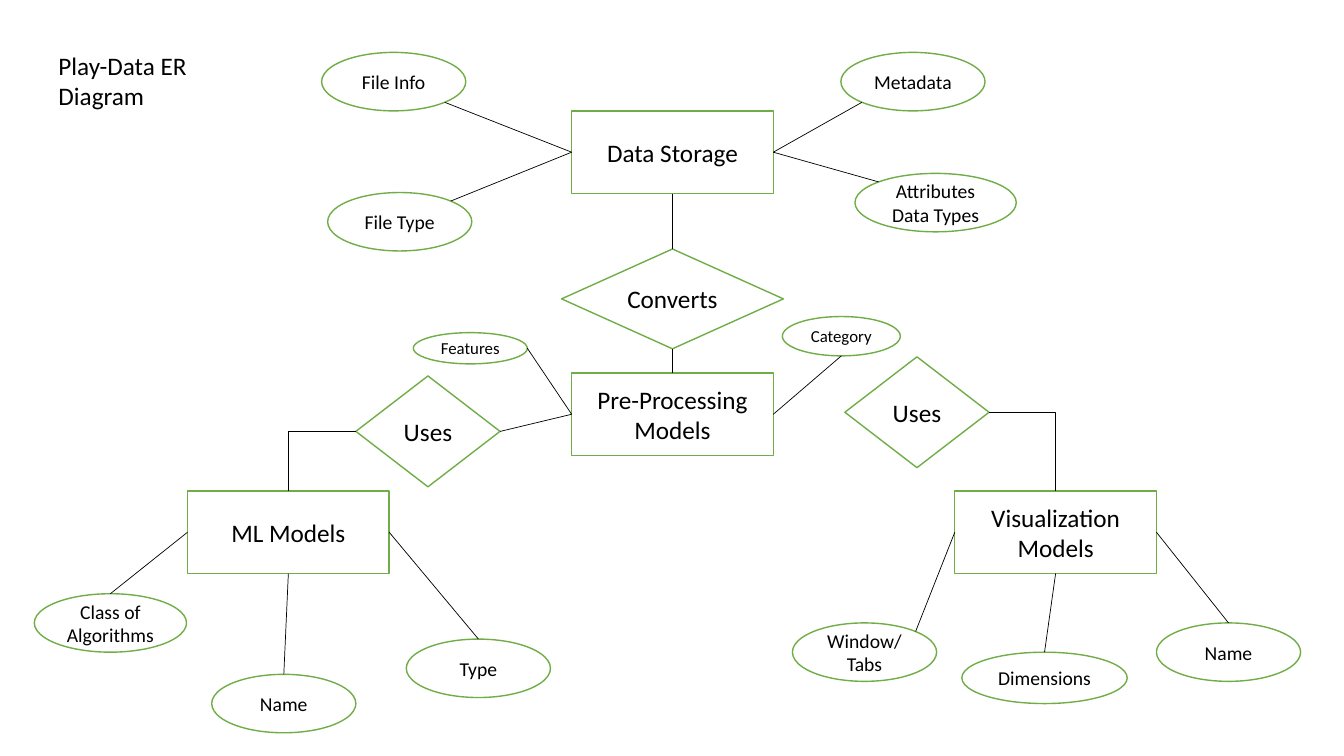
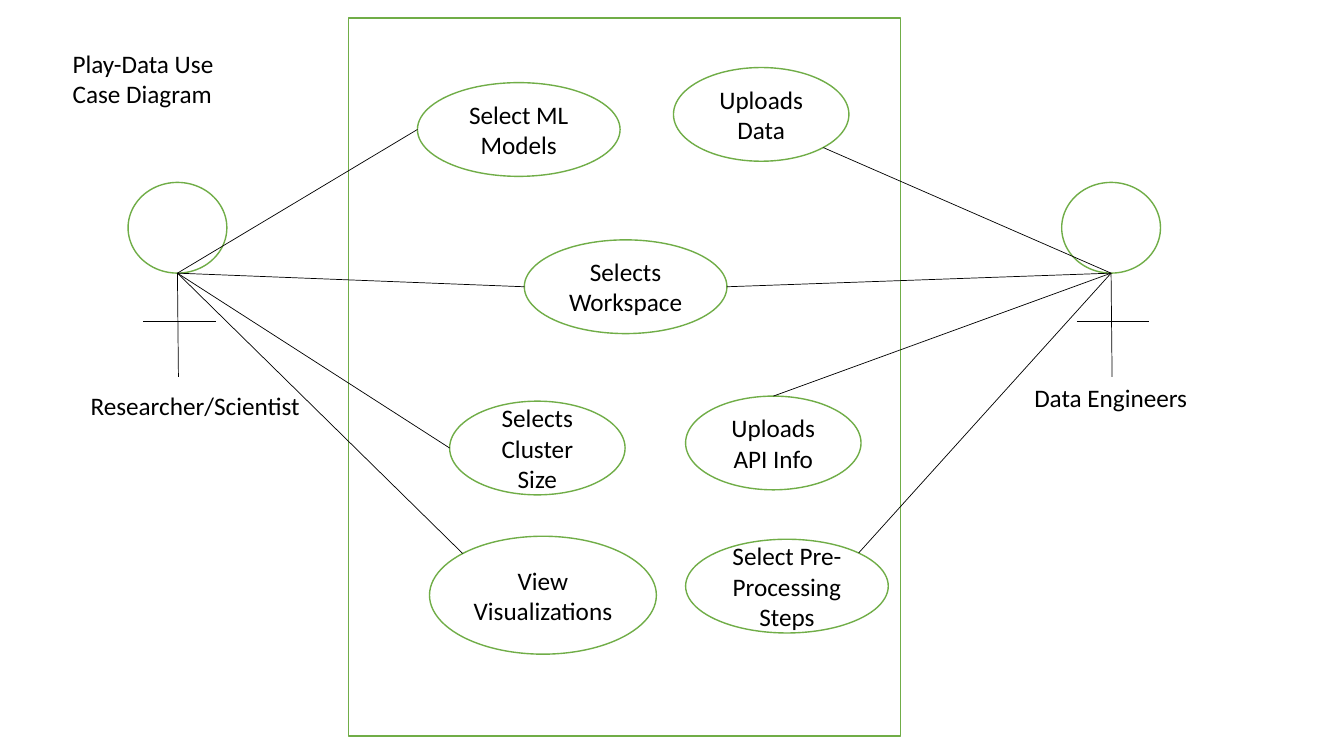
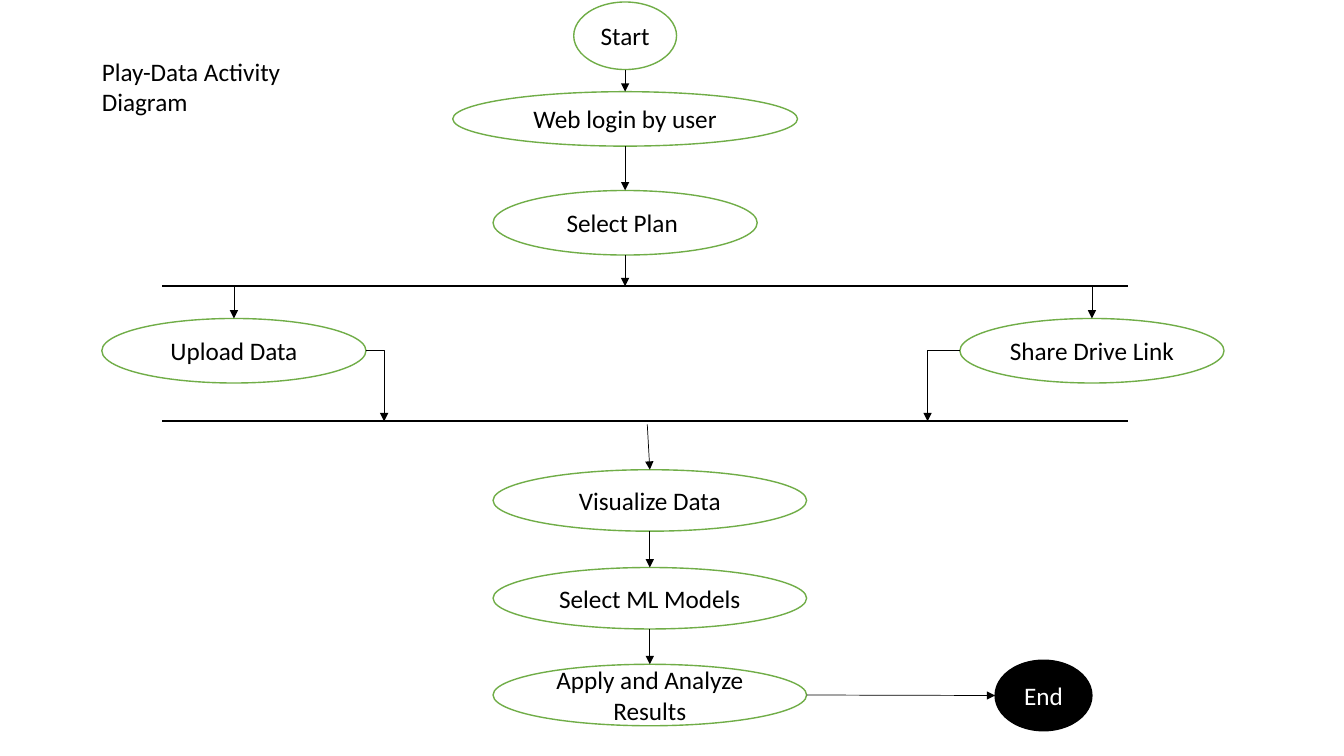
from lxml import etree
from pptx import Presentation
from pptx.dml.color import RGBColor
from pptx.enum.shapes import MSO_CONNECTOR, MSO_SHAPE
from pptx.enum.text import MSO_ANCHOR, MSO_AUTO_SIZE, PP_ALIGN
from pptx.oxml.ns import qn
from pptx.util import Pt

PX = 9144  # EMU per px, 100 px to the inch
TITLE_ONLY = 5

GREEN = RGBColor(0x70, 0xAD, 0x47)
BLACK = RGBColor(0x00, 0x00, 0x00)
WHITE = RGBColor(0xFF, 0xFF, 0xFF)

PROCESS, OVAL, DIAMOND = MSO_SHAPE.FLOWCHART_PROCESS, MSO_SHAPE.OVAL, MSO_SHAPE.DIAMOND
STRAIGHT, ELBOW = MSO_CONNECTOR.STRAIGHT, MSO_CONNECTOR.ELBOW
LEFT, CENTER = PP_ALIGN.LEFT, PP_ALIGN.CENTER

LABEL_FRAME = {"word_wrap": True, "vertical_anchor": MSO_ANCHOR.MIDDLE}
NOTE_FRAME = {"word_wrap": True, "vertical_anchor": MSO_ANCHOR.TOP,
              "auto_size": MSO_AUTO_SIZE.SHAPE_TO_FIT_TEXT}

# Anchors as fractions of a shape; the diagonal ones lie on an ellipse
NEAR, FAR = 0.146, 0.854
ANCHORS = {"t": (0.5, 0), "l": (0, 0.5), "b": (0.5, 1), "r": (1, 0.5),
           "tl": (NEAR, NEAR), "tr": (FAR, NEAR), "bl": (NEAR, FAR), "br": (FAR, FAR)}
JOIN_SITES = {"t": 0, "l": 1, "b": 2, "r": 3}


def px(*lengths):
    return [length * PX for length in lengths]


def apply(target, values):
    for name, value in values.items():
        setattr(target, name, value)


def write(shape, text, frame_format, align, size=18, color=BLACK):
    frame = shape.text_frame
    frame.text = text
    apply(frame, frame_format)
    paragraph = frame.paragraphs[0]
    paragraph.alignment = align
    apply(paragraph.runs[0].font, {"name": "Calibri", "size": Pt(size)})
    paragraph.runs[0].font.color.rgb = color


def add_node(slide, kind, box, label="", size=18, fill=WHITE, outline=GREEN, color=BLACK):
    node = slide.shapes.add_shape(kind, *px(*box))
    node.shadow.inherit = False
    node.fill.solid()
    node.fill.fore_color.rgb = fill
    node.line.color.rgb = outline
    node.line.width = Pt(1)
    if label:
        write(node, label, LABEL_FRAME, CENTER, size, color)
    return node


def locate(end):
    """Turn (x, y) in px or (node, side) into a point in EMU."""
    if not isinstance(end[1], str):
        return px(*end)
    node, side = end
    across, down = ANCHORS[side]
    return [round(node.left + across * node.width), round(node.top + down * node.height)]


def link(slide, start, finish, kind=STRAIGHT, arrow=False, weight=0.5):
    """Draw a line and join it to rectangles and diamonds."""
    line = slide.shapes.add_connector(kind, *locate(start), *locate(finish))
    for end, join in ((start, line.begin_connect), (finish, line.end_connect)):
        if end[1] in JOIN_SITES and end[0].auto_shape_type != OVAL:
            join(end[0], JOIN_SITES[end[1]])
    line.line.color.rgb = BLACK
    line.line.width = Pt(weight)
    properties = line._element.spPr
    if kind == ELBOW:  # a single bend: across, then down
        properties.find(qn("a:prstGeom")).set("prst", "bentConnector2")
    if arrow:
        etree.SubElement(properties.find(qn("a:ln")), qn("a:tailEnd"), type="triangle")
    etree.SubElement(properties, qn("a:effectLst"))


def add_titled_slide(deck, title, box):
    slide = deck.slides.add_slide(deck.slide_layouts[TITLE_ONLY])
    heading = slide.shapes.title
    apply(heading, dict(zip(("left", "top", "width", "height"), px(*box))))
    write(heading, title, NOTE_FRAME, LEFT)
    return slide


# Entity-relationship diagram
def entity_cluster(slide, box, label, attributes):
    """Entity in the box, with attributes placed from its top left corner."""
    left, top = box[:2]
    entity = add_node(slide, PROCESS, box, label)
    for name, dx, dy, width, height, size, entity_side, side in attributes:
        attribute = add_node(slide, OVAL, (left + dx, top + dy, width, height), name, size)
        link(slide, (entity, entity_side), (attribute, side))
    return entity


def er_slide(deck):
    slide = add_titled_slide(deck, "Play-Data ER Diagram", (48, 45, 226, 71))
    storage = entity_cluster(slide, (567, 110, 200, 82), "Data Storage", [
        ("File Info", -248, -58, 143, 58, 14, "l", "br"),
        ("File Type", -242, 81, 143, 58, 14, "l", "tr"),
        ("Metadata", 267, -58, 143, 58, 14, "r", "bl"),
        ("Attributes Data Types", 281, 62, 160, 58, 14, "r", "tl")])
    preprocessing = entity_cluster(slide, (567, 370, 200, 82), "Pre-Processing Models", [
        ("Features", -157, -40, 113, 31, 12, "l", "r"),
        ("Category", 209, -56, 117, 39, 12, "r", "b")])
    ml_models = entity_cluster(slide, (186, 487, 200, 82), "ML Models", [
        ("Class of Algorithms", -152, 102, 151, 58, 14, "l", "t"),
        ("Name", 24, 182, 143, 58, 14, "b", "t"),
        ("Type", 217, 147, 143, 58, 14, "r", "t")])
    visualization = entity_cluster(slide, (947, 487, 200, 82), "Visualization Models", [
        ("Window/Tabs", -161, 131, 143, 58, 14, "l", "tr"),
        ("Dimensions", 7, 160, 164, 51, 14, "b", "t"),
        ("Name", 200, 131, 143, 58, 14, "r", "t")])

    # Relationships
    converts = add_node(slide, DIAMOND, (557, 247, 220, 99), "Converts")
    ml_use = add_node(slide, DIAMOND, (353, 373, 143, 110), "Uses")
    visual_use = add_node(slide, DIAMOND, (838, 354, 143, 110), "Uses")
    link(slide, (storage, "b"), (converts, "t"))
    link(slide, (converts, "b"), (preprocessing, "t"))
    link(slide, (ml_use, "r"), (preprocessing, "l"))
    link(slide, (ml_use, "l"), (ml_models, "t"), ELBOW)
    link(slide, (visual_use, "r"), (visualization, "t"), ELBOW)


# Use case diagram
def system_boundary(slide, box, cases):
    left, top = box[:2]
    add_node(slide, PROCESS, box)
    return {label: add_node(slide, OVAL, (left + dx, top + dy, width, height), label)
            for label, dx, dy, width, height in cases}


def actor(slide, box, name, name_offset, name_width):
    """Stick figure in the box, with its name placed from the top left corner."""
    left, top, width, height = box
    head = add_node(slide, OVAL, (left, top, width, 90))
    link(slide, (head, "b"), (left + width // 2 + 1, top + height))
    link(slide, (left + 15, top + 138), (left + 87, top + 138))
    dx, dy = name_offset
    caption = slide.shapes.add_textbox(*px(left + dx, top + dy, name_width, 40))
    write(caption, name, NOTE_FRAME, LEFT)
    return head


def use_case_slide(deck):
    slide = add_titled_slide(deck, "Play-Data Use Case Diagram", (62, 43, 186, 71))
    cases = system_boundary(slide, (346, 18, 547, 712), [
        ("Uploads Data", 322, 49, 174, 93),
        ("Uploads API Info", 334, 375, 174, 93),
        ("Selects Cluster Size", 100, 380, 174, 93),
        ("View Visualizations", 80, 514, 225, 117),
        ("Select Pre-Processing Steps", 334, 517, 201, 93),
        ("Select ML Models", 68, 64, 201, 93),
        ("Selects Workspace", 174, 220, 201, 93)])
    researcher = actor(slide, (127, 181, 98, 193), "Researcher/Scientist", (-47, 201), 234)
    engineer = actor(slide, (1053, 181, 98, 193), "Data Engineers", (-37, 193), 176)
    for person, case, side in (
            (researcher, "Select ML Models", "l"),
            (researcher, "Selects Workspace", "l"),
            (researcher, "Selects Cluster Size", "l"),
            (researcher, "View Visualizations", "tl"),
            (engineer, "Uploads Data", "br"),
            (engineer, "Selects Workspace", "r"),
            (engineer, "Uploads API Info", "t"),
            (engineer, "Select Pre-Processing Steps", "tr")):
        link(slide, (person, "b"), (cases[case], side))


# Activity diagram
def flow_column(slide, box, steps):
    """Steps centred in the box and chained by arrows; returns first and last."""
    left, top, column_width = box[:3]
    nodes = [add_node(slide, OVAL, (left + (column_width - width) // 2, top + dy, width, height),
                      label)
             for label, dy, width, height in steps]
    for upper, lower in zip(nodes, nodes[1:]):
        link(slide, (upper, "b"), (lower, "t"), arrow=True)
    return nodes[0], nodes[-1]


def fork_and_join(slide, box, branches):
    """Bars on the top and bottom edges of the box, with branches between them."""
    left, top, width, height = box
    for bar_y in (top, top + height):
        link(slide, (left, bar_y), (left + width, bar_y), weight=1.5)
    for label, dx, exit_side, join_dx in branches:
        branch = add_node(slide, OVAL, (left + dx, top + 32, 262, 64), label)
        link(slide, (left + dx + 131, top), (branch, "t"), arrow=True)
        link(slide, (branch, exit_side), (left + join_dx, top + height), ELBOW, arrow=True)


def activity_slide(deck):
    slide = add_titled_slide(deck, "Play-Data Activity Diagram", (91, 51, 246, 71))
    _, plan = flow_column(slide, (449, 2, 342, 251), [
        ("Start", 0, 102, 67),
        ("Web login by user", 89, 342, 54),
        ("Select Plan ", 187, 262, 64)])
    fork_and_join(slide, (161, 284, 958, 134), [
        ("Upload Data", -60, "r", 220),
        ("Share Drive Link", 791, "l", 759)])
    visualize, results = flow_column(slide, (489, 466, 311, 254), [
        ("Visualize Data", 0, 311, 61),
        ("Select ML Models", 97, 311, 61),
        ("Apply and Analyze Results", 193, 311, 61)])
    finish = add_node(slide, OVAL, (987, 655, 96, 70), "End",
                      fill=BLACK, outline=BLACK, color=WHITE)
    link(slide, (plan, "b"), (620, 284), arrow=True)
    link(slide, (642, 421), (visualize, "t"), arrow=True)
    link(slide, (results, "r"), (finish, "l"), arrow=True)


def main():
    deck = Presentation()
    deck.slide_width, deck.slide_height = px(1333, 750)
    er_slide(deck)
    use_case_slide(deck)
    activity_slide(deck)
    deck.save("out.pptx")


if __name__ == "__main__":
    main()
